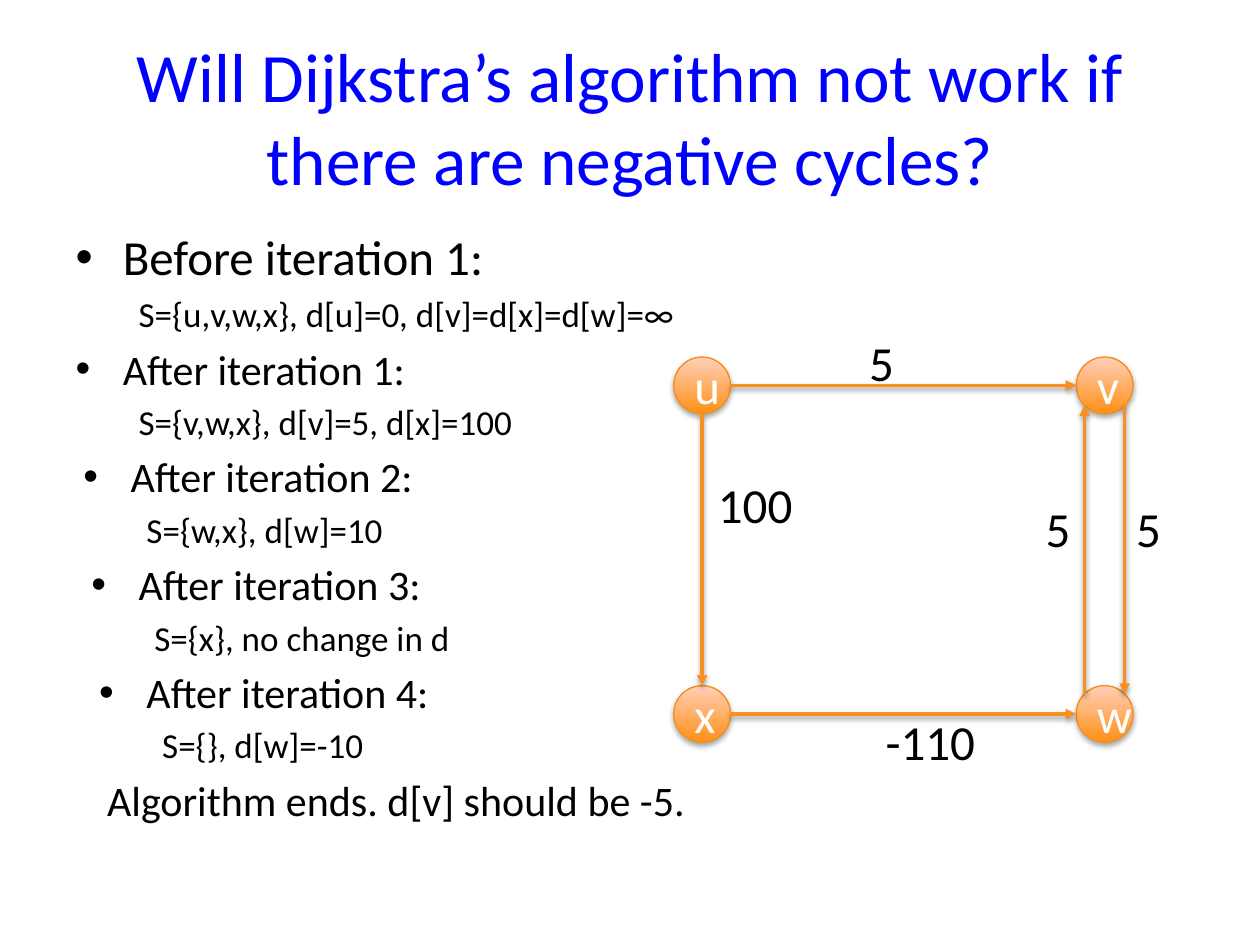
from math import sqrt

from lxml.etree import SubElement
from pptx import Presentation
from pptx.dml.color import RGBColor
from pptx.enum.shapes import MSO_CONNECTOR as Link, MSO_SHAPE as Preset
from pptx.enum.text import MSO_AUTO_SIZE as AutoSize, PP_ALIGN as Align
from pptx.oxml.ns import qn
from pptx.util import Pt

BLUE = RGBColor(0x00, 0x00, 0xFF)
BLACK = RGBColor(0x00, 0x00, 0x00)
WHITE = RGBColor(0xFF, 0xFF, 0xFF)
ORANGE = RGBColor(0xFF, 0x90, 0x16)
PEACH = RGBColor(0xFF, 0xD0, 0xB9)
RIM = RGBColor(0xF7, 0x8D, 0x18)
EDGE = RGBColor(0xF7, 0x90, 0x1E)

NODE = 32.4
DIAGONAL = 1 / sqrt(2)
STEPS = [
    ("Before iteration 1:", "S={u,v,w,x}, d[u]=0, d[v]=d[x]=d[w]=∞", 28, 0),
    ("After iteration 1:", "S={v,w,x}, d[v]=5, d[x]=100", 24, 0),
    ("After iteration 2:", "S={w,x}, d[w]=10", 24, 1),
    ("After iteration 3:", "S={x}, no change in d", 24, 2),
    ("After iteration 4:", "S={}, d[w]=-10", 24, 3),
]
# Column and row of each node
NODES = {"u": (0, 0), "x": (0, 1), "v": (1, 0), "w": (1, 1)}
# Node and rim point, in radii, at each end
EDGES = [
    ("u", (1, 0), "v", (-1, 0)),
    ("w", (-DIAGONAL, -DIAGONAL), "v", (-DIAGONAL, DIAGONAL)),
    ("v", (DIAGONAL, DIAGONAL), "w", (DIAGONAL, -DIAGONAL)),
    ("x", (1, 0), "w", (-1, 0)),
    ("u", (0, 1), "x", (0, -1)),
]
# Text, offset in the graph box, width
WEIGHTS = [
    ("5", 104.6, -17.5, 28.8),
    ("5", 257.2, 77.5, 28.8),
    ("5", 205.4, 77.5, 28.8),
    ("-110", 114, 199.2, 66.2),
    ("100", 18.2, 63.8, 57.6),
]


def apply_format(target, values):
    """Set each named attribute on the target."""
    for name, value in values.items():
        setattr(target, name, value)


def place(shape, box):
    """Move a shape to a box of left, top, width and height in points."""
    apply_format(shape, dict(zip(("left", "top", "width", "height"), map(Pt, box))))


def write(paragraph, text, size, color):
    """Add one formatted run to a paragraph."""
    run = paragraph.add_run()
    run.text = text
    apply_format(run.font, {"name": "Calibri", "size": Pt(size)})
    run.font.color.rgb = color


def drop_shadow(shape, distance, opacity):
    """Give a shape a soft shadow straight below it."""
    properties = shape._element.spPr
    effects = properties.find(qn("a:effectLst"))
    if effects is None:
        effects = SubElement(properties, qn("a:effectLst"))
    shadow = SubElement(effects, qn("a:outerShdw"), blurRad=str(Pt(3.1)),
                        dist=str(Pt(distance)), dir="5400000", rotWithShape="0")
    black = SubElement(shadow, qn("a:srgbClr"), val=str(BLACK))
    SubElement(black, qn("a:alpha"), val=str(opacity * 1000))


def fill_title(title, box):
    """Write the question in the title placeholder."""
    place(title, box)
    title.text_frame.auto_size = AutoSize.NONE
    question = title.text_frame.paragraphs[0]
    question.alignment = Align.CENTER
    write(question, "Will Dijkstra’s algorithm not work if there are negative cycles?",
          39.6, BLUE)


def fill_steps(body, box):
    """List the iterations, each with its state, in the body placeholder."""
    place(body, box)
    frame = body.text_frame
    frame.auto_size = AutoSize.NONE
    lines = []
    for heading, state, size, depth in STEPS:
        shift = depth * 4.5
        lines.append((heading, size, 0, 27 + shift, -27))
        lines.append((state, 20, 1, 36 + shift, 0))
    lines.append(("Algorithm ends. d[v] should be -5.", 24, 0, 18, 0))
    for index, (text, size, level, margin, hanging) in enumerate(lines):
        line = frame.add_paragraph() if index else frame.paragraphs[0]
        line.level = level
        properties = line._p.get_or_add_pPr()
        properties.set("marL", str(Pt(margin)))
        properties.set("indent", str(Pt(hanging)))
        if not hanging:
            SubElement(properties, qn("a:buNone"))
        write(line, text, size, BLACK)


def draw_node(shapes, name, left, top):
    """Draw one graph node with its letter."""
    node = shapes.add_shape(Preset.OVAL, *map(Pt, (left, top, NODE, NODE)))
    node.fill.gradient()
    node.fill.gradient_angle = 90
    for stop, color in zip(node.fill.gradient_stops, (ORANGE, PEACH)):
        stop.color.rgb = color
    node.line.color.rgb = RIM
    node.line.width = Pt(0.75)
    node.shadow.inherit = False
    drop_shadow(node, 1.8, 35)
    letter = node.text_frame.paragraphs[0]
    letter.alignment = Align.CENTER
    write(letter, name, 28, WHITE)


def draw_edge(shapes, start, end):
    """Draw one arrow between two points."""
    edge = shapes.add_connector(Link.STRAIGHT, *map(Pt, start + end))
    edge.line.color.rgb = EDGE
    edge.line.width = Pt(2)
    SubElement(edge.line._get_or_add_ln(), qn("a:tailEnd"), type="triangle")
    drop_shadow(edge, 1.6, 38)


def draw_graph(shapes, box):
    """Draw the weighted graph with its nodes in the corners of the box."""
    left, top, width, height = box
    corners = {name: (left + column * (width - NODE), top + row * (height - NODE))
               for name, (column, row) in NODES.items()}

    def rim_point(name, direction):
        return tuple(corner + NODE / 2 * (1 + step)
                     for corner, step in zip(corners[name], direction))

    for name, corner in corners.items():
        draw_node(shapes, name, *corner)
    for source, leaving, target, arriving in EDGES:
        draw_edge(shapes, rim_point(source, leaving), rim_point(target, arriving))
    for text, across, down, label_width in WEIGHTS:
        weight = shapes.add_textbox(
            *map(Pt, (left + across, top + down, label_width, 41)))
        apply_format(weight.text_frame,
                     {"word_wrap": False, "auto_size": AutoSize.SHAPE_TO_FIT_TEXT})
        write(weight.text_frame.paragraphs[0], text, 28, BLACK)


deck = Presentation()
apply_format(deck, {"slide_width": Pt(720), "slide_height": Pt(540)})
slide = deck.slides.add_slide(deck.slide_layouts[1])
fill_title(slide.shapes.title, (36, 21.6, 648, 90))
fill_steps(slide.placeholders[1], (36, 126, 391, 361.4))
draw_graph(slide.shapes, (385, 204, 262.4, 220.2))
deck.save("out.pptx")
